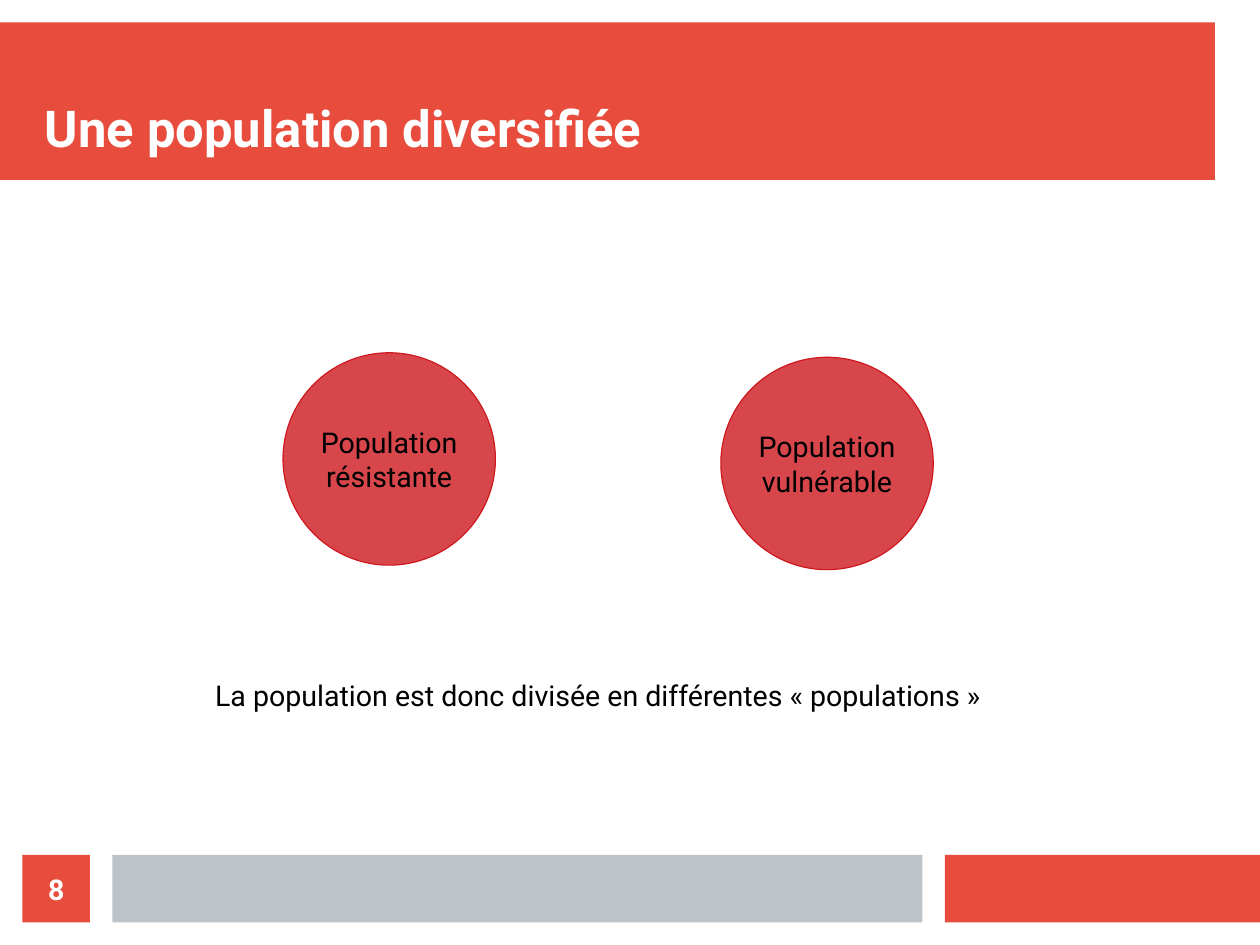
import pptx
import pptx.util
import pptx.dml.color
import pptx.enum.shapes
import pptx.enum.text
import pptx.oxml
import pptx.oxml.ns
from dataclasses import dataclass

Inches = pptx.util.Inches
Pt = pptx.util.Pt
Kind = pptx.enum.shapes.MSO_SHAPE
Align = pptx.enum.text.PP_ALIGN
Anchor = pptx.enum.text.MSO_ANCHOR


@dataclass
class Theme:
    font: str = "Roboto"
    head: int = 32
    body: int = 18
    red: str = "E74C3C"
    grey: str = "BDC3C7"
    disc: str = "CE181E"
    white: str = "FFFFFF"
    black: str = "000000"


def color(code):
    return pptx.dml.color.RGBColor.from_string(code)


def metric(*sizes):
    return [Inches(round(size / 2.54, 6)) for size in sizes]


def write(shape, text, font, size, ink, bold=False, align=Align.CENTER,
          anchor=Anchor.MIDDLE, inset=(0.1, 0.05), wrap=True):
    frame = shape.text_frame
    frame.word_wrap = wrap
    frame.vertical_anchor = anchor
    frame.margin_left = frame.margin_right = Inches(inset[0])
    frame.margin_top = frame.margin_bottom = Inches(inset[1])
    frame.text = text
    for para in frame.paragraphs:
        para.alignment = align
        for run in para.runs:
            run.font.name = font
            run.font.size = Pt(size)
            run.font.bold = bold
            run.font.color.rgb = color(ink)


class Page:
    def __init__(self, slide, theme):
        self.slide = slide
        self.theme = theme

    def shape(self, kind, box, fill):
        item = self.slide.shapes.add_shape(kind, *metric(*box))
        item.shadow.inherit = False
        item.fill.solid()
        item.fill.fore_color.rgb = color(fill)
        return item

    def bar(self, box, fill):
        item = self.shape(Kind.RECTANGLE, box, fill)
        item.line.fill.background()
        return item

    def title(self, text, box):
        item = self.slide.shapes.title
        item.left, item.top, item.width, item.height = metric(*box)
        write(item, text, self.theme.font, self.theme.head, self.theme.white,
              bold=True, align=Align.LEFT, anchor=Anchor.BOTTOM, inset=(0, 0))
        self.slide.shapes._spTree.append(item._element)

    def disc(self, text, left, top, size=4.72):
        item = self.shape(Kind.OVAL, (left, top, size, size), self.theme.disc)
        tint = item.fill._xPr.find(".//" + pptx.oxml.ns.qn("a:srgbClr"))
        tint.append(pptx.oxml.parse_xml(
            f'<a:alpha {pptx.oxml.ns.nsdecls("a")} val="80000"/>'))
        item.line.color.rgb = color(self.theme.disc)
        item.line.width = Pt(0)
        write(item, text, self.theme.font, self.theme.body, self.theme.black,
              wrap=False)

    def note(self, text, box):
        item = self.slide.shapes.add_textbox(*metric(*box))
        write(item, text, self.theme.font, self.theme.body, self.theme.black,
              anchor=Anchor.TOP)

    def number(self, text, box):
        item = self.bar(box, self.theme.red)
        write(item, text, self.theme.font, self.theme.body, self.theme.white,
              bold=True, inset=(0, 0))


def main():
    deck = pptx.Presentation()
    deck.slide_width, deck.slide_height = metric(28, 21)
    theme = Theme()
    page = Page(deck.slides.add_slide(deck.slide_layouts[5]), theme)

    base, tall = 19, 1.5
    page.bar((0, 0.5, 27, 3.5), theme.red)
    page.bar((21, base, 7, tall), theme.red)
    page.bar((2.5, base, 18, tall), theme.grey)
    page.title("Une population diversifiée", (1, 1, 26, 2.5))
    page.disc("Population\nrésistante", 6.29, 7.84)
    page.disc("Population\nvulnérable", 16.02, 7.94)
    page.note("La population est donc divisée en différentes « populations »",
              (3.78, 14.94, 19.02, 1.85))
    page.number("8", (0.5, base, tall, tall))
    deck.save("out.pptx")


if __name__ == "__main__":
    main()
